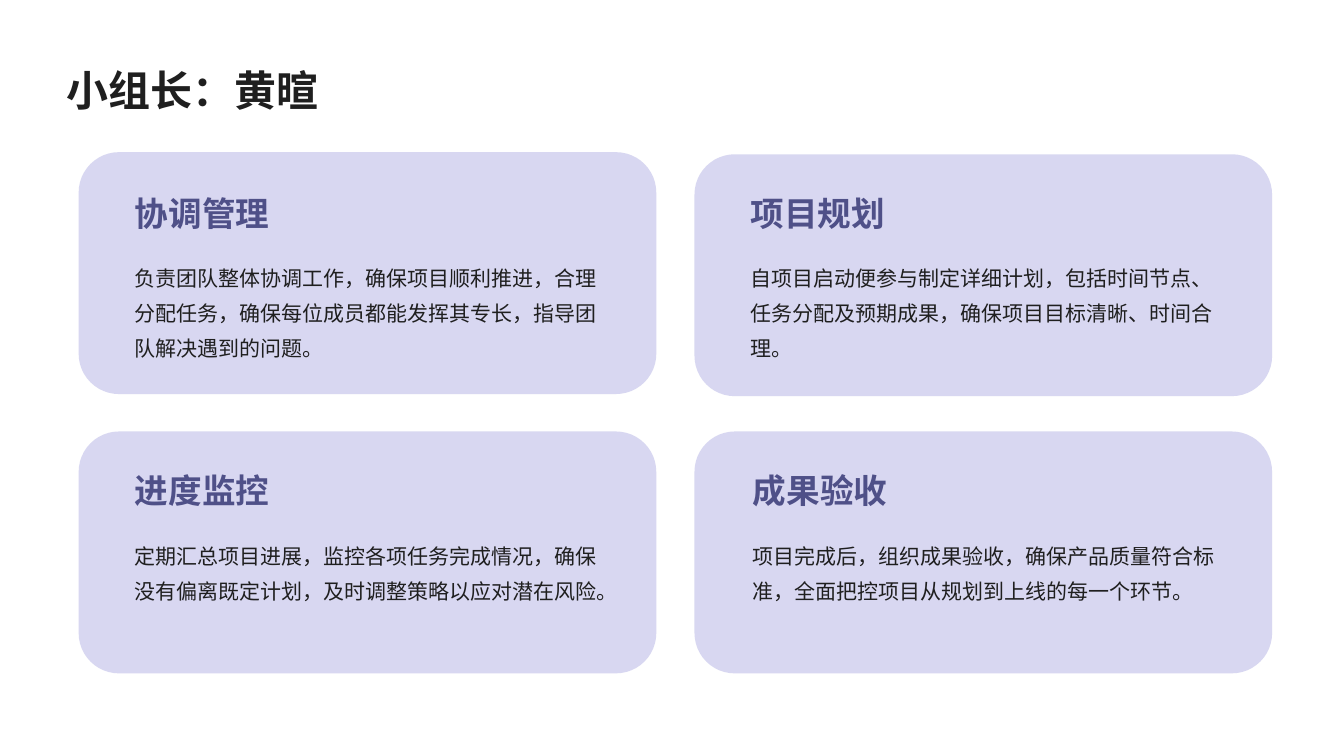
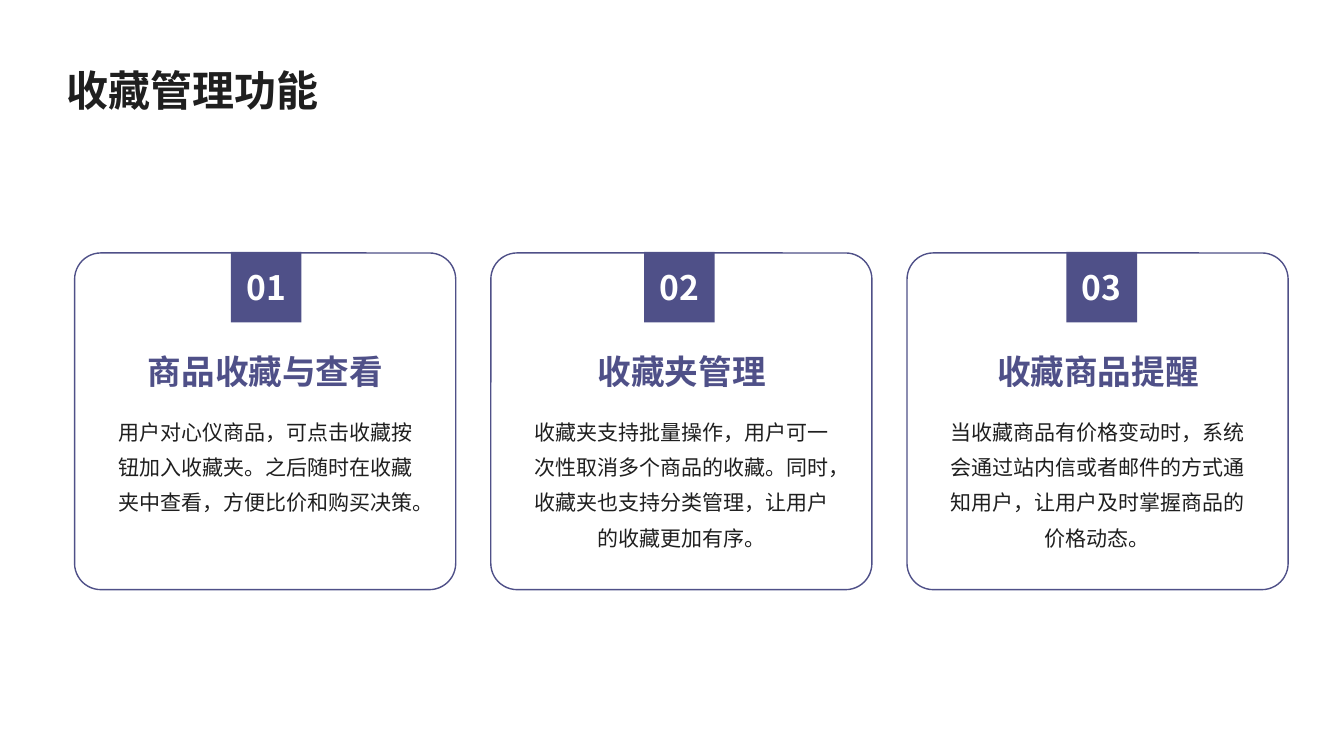
from lxml import etree
from pptx import Presentation
from pptx.dml.color import RGBColor
from pptx.enum import shapes, text
from pptx.oxml.ns import qn
from pptx.util import Pt

FONT = "Noto Sans CJK SC"
PURPLE, LILAC, INK, WHITE = "4F5088", "CFCEEE", "1F1F1F", "FFFFFF"
LEFT, CENTER = text.PP_ALIGN.LEFT, text.PP_ALIGN.CENTER
TOP, MIDDLE, BOTTOM = (text.MSO_ANCHOR.TOP, text.MSO_ANCHOR.MIDDLE,
                       text.MSO_ANCHOR.BOTTOM)
WIDE_INSETS = (10, 10, 4.3, 10)
CARD_INSETS = (8.6, 4.3, 8.6, 4.3)


def rgb(color):
    return RGBColor.from_string(color)


def write(sp, content, size, color, bold=False, align=LEFT, anchor=TOP,
          spacing=1.0, insets=(0, 0, 0, 0)):
    tf = sp.text_frame
    tf.word_wrap = True
    tf.auto_size = text.MSO_AUTO_SIZE.NONE
    tf.vertical_anchor = anchor
    tf.margin_left, tf.margin_top, tf.margin_right, tf.margin_bottom = map(Pt, insets)
    p = tf.paragraphs[0]
    p.alignment = align
    p.line_spacing = spacing
    p.space_before = Pt(0)
    r = p.add_run()
    r.text = content
    r.font.size = Pt(size)
    r.font.bold = bold
    r.font.color.rgb = rgb(color)
    r.font.name = FONT
    etree.SubElement(r.font._element, qn("a:ea")).set("typeface", FONT)


def add_text(s, box, content, size, color, **style):
    write(s.shapes.add_textbox(*map(Pt, box)), content, size, color, **style)


def add_heading(s, box, content, **style):
    add_text(s, box, content, 24, PURPLE, bold=True, spacing=1.2, **style)


def add_body(s, box, content, **style):
    add_text(s, box, content, 15, INK, spacing=1.4, **style)


def add_block(s, kind, box, fill=None, line=None, opacity=None, corner=None):
    sp = s.shapes.add_shape(kind, *map(Pt, box))
    sp.shadow.inherit = False
    if corner is not None:
        sp.adjustments[0] = corner
    if fill:
        sp.fill.solid()
        sp.fill.fore_color.rgb = rgb(fill)
    else:
        sp.fill.background()
    if line:
        sp.line.color.rgb = rgb(line)
        sp.line.width = Pt(1)
    else:
        sp.line.fill.background()
    if opacity is not None:
        clr = sp.fill._xPr.find(qn("a:solidFill"))[0]
        etree.SubElement(clr, qn("a:alpha")).set("val", str(opacity * 1000))
    return sp


def add_slide(prs, title):
    s = prs.slides.add_slide(prs.slide_layouts[5])
    sp = s.shapes.title
    sp.left, sp.top, sp.width, sp.height = map(Pt, (37.4, 20.9, 884.9, 72))
    write(sp, title, 30, INK, bold=True, anchor=MIDDLE, spacing=1.4,
          insets=WIDE_INSETS)
    return s


def add_duty(s, left, top, text_left, heading_top, body_top, heading, body):
    add_block(s, shapes.MSO_SHAPE.ROUNDED_RECTANGLE, (left, top, 412.6, 172.8),
              fill=LILAC, opacity=80)
    add_heading(s, (text_left, heading_top, 338.4, 49.7), heading,
                anchor=BOTTOM, insets=WIDE_INSETS)
    add_body(s, (text_left, body_top, 352.8, 95), body, insets=WIDE_INSETS)


def add_feature(s, index, badge_left, heading, body):
    left = 53.3 + 297.3 * index
    add_block(s, shapes.MSO_SHAPE.ROUNDED_RECTANGLE, (left, 180.7, 272.2, 240.5),
              line=PURPLE, corner=0.078)
    badge = add_block(s, shapes.MSO_SHAPE.RECTANGLE,
                      (badge_left, 180, 50.4, 50.4), fill=PURPLE)
    write(badge, f"{index + 1:02d}", 24, WHITE, bold=True, align=CENTER,
          anchor=MIDDLE)
    add_heading(s, (left + 17.2, 239.8, 238.3, 45.4), heading, align=CENTER,
                anchor=MIDDLE, insets=CARD_INSETS)
    add_body(s, (left + 19.4, 288, 233.3, 118.8), body, align=CENTER,
             insets=CARD_INSETS)


def build_leader(prs):
    s = add_slide(prs, "小组长：黄暄")
    col1, col2 = 56.2, 496.1
    row1, row2 = (126.7, 172.1), (324.7, 370.8)
    duties = [
        (col1, 108.7, 86.4, *row1, "协调管理",
         "负责团队整体协调工作，确保项目顺利推进，合理分配任务，确保每位成员都能发挥其专长，指导团队解决遇到的问题。"),
        (col2, 110.2, 526.3, *row1, "项目规划",
         "自项目启动便参与制定详细计划，包括时间节点、任务分配及预期成果，确保项目目标清晰、时间合理。"),
        (col1, 308.2, 86.4, *row2, "进度监控",
         "定期汇总项目进展，监控各项任务完成情况，确保没有偏离既定计划，及时调整策略以应对潜在风险。"),
        (col2, 308.2, 527.8, *row2, "成果验收",
         "项目完成后，组织成果验收，确保产品质量符合标准，全面把控项目从规划到上线的每一个环节。"),
    ]
    for duty in duties:
        add_duty(s, *duty)


def build_favorites(prs):
    s = add_slide(prs, "收藏管理功能")
    features = [
        (164.9, "商品收藏与查看",
         "用户对心仪商品，可点击收藏按钮加入收藏夹。之后随时在收藏夹中查看，方便比价和购买决策。"),
        (460.1, "收藏夹管理",
         "收藏夹支持批量操作，用户可一次性取消多个商品的收藏。同时，收藏夹也支持分类管理，让用户的收藏更加有序。"),
        (761.8, "收藏商品提醒",
         "当收藏商品有价格变动时，系统会通过站内信或者邮件的方式通知用户，让用户及时掌握商品的价格动态。"),
    ]
    for index, feature in enumerate(features):
        add_feature(s, index, *feature)


def main():
    prs = Presentation()
    prs.slide_width, prs.slide_height = Pt(960), Pt(540)
    build_leader(prs)
    build_favorites(prs)
    prs.save("out.pptx")


if __name__ == "__main__":
    main()
